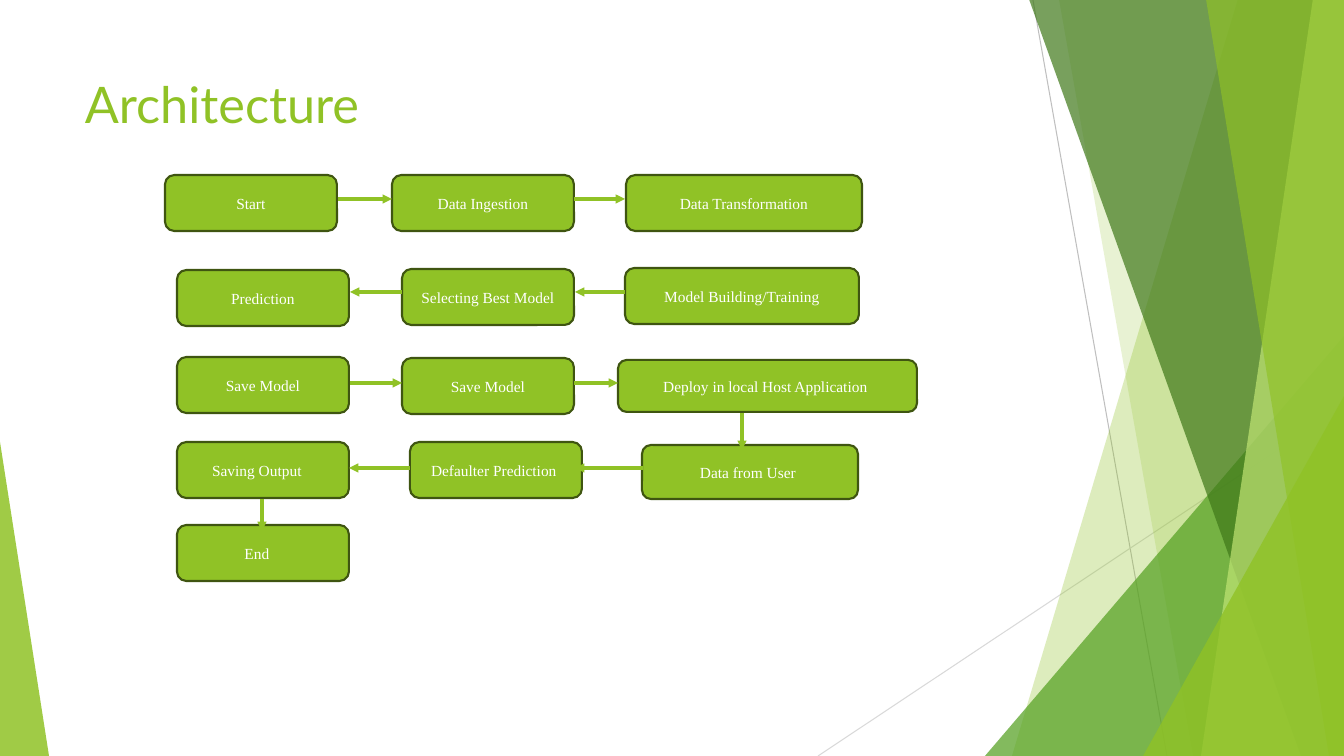
from pptx import Presentation
from pptx.dml.color import RGBColor
from pptx.enum.shapes import MSO_CONNECTOR as CONN, MSO_SHAPE as SHAPE
from pptx.enum.text import MSO_ANCHOR as ANCHOR, PP_ALIGN as ALIGN
from pptx.oxml.ns import qn
from pptx.util import Emu, Pt
from lxml.etree import SubElement

PX = 914400 / 100.8
GREEN, DARK, WHITE = "90C226", "3F5511", "FFFFFF"


def paint(fmt, color, alpha=None):
    """Solid fill, with an opacity in percent if given."""
    fmt.solid()
    fmt.fore_color.rgb = RGBColor.from_string(color)
    if alpha:
        clr = fmt._xPr.find(qn("a:solidFill"))[0]
        SubElement(clr, qn("a:alpha"), val=str(alpha * 1000))


def add_line(x1, y1, x2, y2, color, width, arrow=False):
    ends = [Emu(round(v * PX)) for v in (x1, y1, x2, y2)]
    s = slide.shapes.add_connector(CONN.STRAIGHT, *ends)
    s.line.width = Pt(width)
    paint(s.line.fill, color)
    if arrow:
        SubElement(s.line._get_or_add_ln(), qn("a:tailEnd"), type="triangle")
    SubElement(s._element.spPr, qn("a:effectLst"))


prs = Presentation()
prs.slide_width, prs.slide_height = Emu(round(1344 * PX)), Emu(round(756 * PX))
slide = prs.slides.add_slide(prs.slide_layouts[6])

# Thin background lines
add_line(1033, 0, 1167, 756, "BFBFBF", 0.75)
add_line(1344, 406, 818, 756, "D9D9D9", 0.75)

# Translucent facets: bands (top x, bottom x) reach the right edge,
# triangles (left, top, width, apex) stand on the bottom edge
facets = [
    ("band", (1238, 1012), GREEN, 30),
    ("band", (1059, 1193), GREEN, 20),
    ("triangle", (985, 336, 359, 1), "54A021", 72),
    ("band", (1029, 1301), "3F7819", 70),
    ("band", (1313, 1201), "C0E474", 70),
    ("band", (1206, 1329), GREEN, 65),
    ("triangle", (1143, 396, 201, 1), GREEN, 80),
    ("triangle", (0, 442, 49, 0), GREEN, 85),
]
for kind, geometry, color, alpha in facets:
    if kind == "band":
        top, bottom = geometry
        fb = slide.shapes.build_freeform(top, -1, scale=PX)
        fb.add_line_segments([(1344, -1), (1344, 756), (bottom, 756)])
        s = fb.convert_to_shape()
    else:
        x, y, w, apex = geometry
        box = [Emu(round(v * PX)) for v in (x, y, w, 756 - y)]
        s = slide.shapes.add_shape(SHAPE.ISOSCELES_TRIANGLE, *box)
        s.adjustments[0] = apex
    s.shadow.inherit = False
    s.line.fill.background()
    paint(s.fill, color, alpha)

# Title
title_box = [Emu(round(v * PX)) for v in (75, 68, 948, 145)]
tf = slide.shapes.add_textbox(*title_box).text_frame
tf.word_wrap = True
tf.text = "Architecture"
r = tf.paragraphs[0].runs[0]
r.font.size, r.font.name = Pt(36), "Lato"
paint(r.font.fill, GREEN)

# Process steps: text, left, top, width, height, extra right inset
steps = [
    ("Start", 165, 175, 172, 56, 0),
    ("Data Ingestion", 392, 175, 182, 56, 0),
    ("Data Transformation", 626, 175, 236, 56, 0),
    ("Model Building/Training", 625, 268, 234, 56, 0),
    ("Selecting Best Model", 402, 269, 172, 56, 0),
    ("Prediction", 177, 270, 172, 56, 0),
    ("Save Model", 177, 357, 172, 56, 0),
    ("Save Model", 402, 358, 172, 56, 0),
    ("Deploy in local Host Application", 618, 360, 299, 52, 4),
    ("Data from User", 642, 445, 216, 54, 4),
    ("Defaulter Prediction", 410, 442, 172, 56, 4),
    ("Saving Output", 177, 442, 172, 56, 12),
    ("End", 177, 525, 172, 56, 12),
]
for text, x, y, w, h, inset in steps:
    box = [Emu(round(v * PX)) for v in (x, y, w, h)]
    s = slide.shapes.add_shape(SHAPE.ROUNDED_RECTANGLE, *box)
    s.shadow.inherit = False
    paint(s.fill, GREEN)
    paint(s.line.fill, DARK)
    s.line.width = Pt(1.5)
    tf = s.text_frame
    tf.margin_right = Emu(round((10 + inset) * PX))
    tf.vertical_anchor = ANCHOR.MIDDLE
    tf.text = text
    p = tf.paragraphs[0]
    p.alignment = ALIGN.CENTER
    r = p.runs[0]
    r.font.size, r.font.name = Pt(11), "Times New Roman"
    paint(r.font.fill, WHITE)

# Flow arrows
arrows = [
    (338, 199, 392, 199), (574, 199, 625, 199),
    (625, 292, 575, 292), (402, 292, 350, 292),
    (350, 383, 402, 383), (574, 383, 618, 383),
    (742, 413, 742, 450),
    (643, 468, 575, 468), (410, 468, 349, 468),
    (262, 499, 262, 531),
]
for ends in arrows:
    add_line(*ends, GREEN, 2.25, arrow=True)

prs.save("out.pptx")
